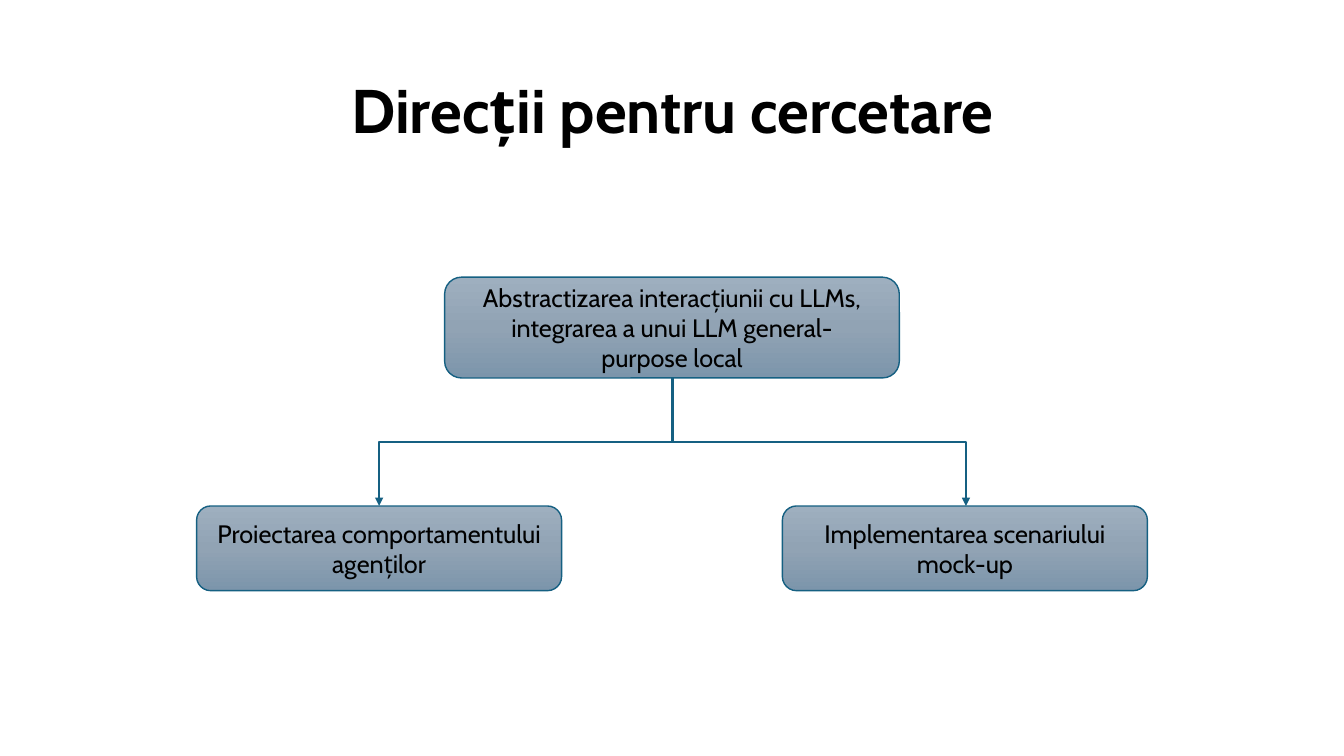
from copy import deepcopy

from lxml.etree import SubElement
from pptx import Presentation
from pptx.dml.color import RGBColor
from pptx.enum.shapes import MSO_CONNECTOR, MSO_SHAPE
from pptx.enum.text import MSO_ANCHOR, PP_ALIGN
from pptx.oxml.ns import qn
from pptx.util import Inches, Pt

BLACK = RGBColor(0x00, 0x00, 0x00)
TEAL = RGBColor(0x15, 0x60, 0x82)
GRADIENT = [
    (0, RGBColor(0x9E, 0xAF, 0xBF)),
    (0.5, RGBColor(0x91, 0xA3, 0xB4)),
    (1, RGBColor(0x7C, 0x95, 0xAB)),
]


def write_text(shape, text, size, bold):
    frame = shape.text_frame
    frame.word_wrap = True
    frame.vertical_anchor = MSO_ANCHOR.MIDDLE
    para = frame.paragraphs[0]
    para.alignment = PP_ALIGN.CENTER
    span = para.add_run()
    span.text = text
    span.font.color.rgb = BLACK
    font_format = {"name": "Cabin", "size": Pt(size), "bold": bold}
    for name, value in font_format.items():
        setattr(span.font, name, value)
    return para


deck = Presentation()
deck.slide_width, deck.slide_height = Inches(13.33), Inches(7.5)
page = deck.slides.add_slide(deck.slide_layouts[5])

# Title
title = page.shapes.title
title_place = {"left": 0.92, "top": 0.4, "width": 11.5, "height": 1.45}
for name, value in title_place.items():
    setattr(title, name, Inches(value))
write_text(title, "Direcții pentru cercetare", 44, True).line_spacing = 0.9

# Boxes: left, top, width, height, side margin, text
box_rows = [
    (4.41, 2.75, 4.51, 1, 0.31,
     "Abstractizarea interacțiunii cu LLMs, integrarea a unui LLM general-purpose local"),
    (1.95, 5.02, 3.62, 0.84, 0.1, "Proiectarea comportamentului agenților"),
    (7.76, 5.02, 3.62, 0.84, 0.3, "Implementarea scenariului mock-up"),
]
boxes = []
for left, top, width, height, margin, text in box_rows:
    box = page.shapes.add_shape(
        MSO_SHAPE.ROUNDED_RECTANGLE,
        Inches(left), Inches(top), Inches(width), Inches(height))
    box.shadow.inherit = False
    box.line.color.rgb = TEAL
    box.line.width = Pt(1)

    # Three-stop gradient running downwards
    box.fill.gradient()
    box.fill.gradient_angle = 270
    stop_list = box._element.spPr.find(".//" + qn("a:gsLst"))
    stop_list.insert(1, deepcopy(stop_list[0]))
    for stop, (position, color) in zip(box.fill.gradient_stops, GRADIENT):
        stop.position = position
        stop.color.rgb = color

    box.text_frame.margin_left = box.text_frame.margin_right = Inches(margin)
    box.text_frame.margin_top = box.text_frame.margin_bottom = Inches(0.05)
    write_text(box, text, 18, False)
    boxes.append(box)

# Elbow arrows from the upper box to each lower box
parent, *children = boxes
turns = [{"rot": "5400000"}, {"rot": "16200000", "flipH": "1"}]
for child, left, turn in zip(children, (4.58, 7.49), turns):
    arrow = page.shapes.add_connector(MSO_CONNECTOR.ELBOW, 0, 0, 0, 0)
    arrow.begin_connect(parent, 2)
    arrow.end_connect(child, 0)

    # The elbow is turned a quarter so that it leaves downwards
    frame = arrow._element.spPr.find(qn("a:xfrm"))
    frame.attrib.clear()
    frame.attrib.update(turn)
    arrow_place = {"left": left, "top": 2.93, "width": 1.27, "height": 2.91}
    for name, value in arrow_place.items():
        setattr(arrow, name, Inches(value))

    arrow.line.color.rgb = TEAL
    arrow.line.width = Pt(1.5)
    line = arrow._element.spPr.find(qn("a:ln"))
    SubElement(line, qn("a:tailEnd"), type="triangle")
    SubElement(arrow._element.spPr, qn("a:effectLst"))

deck.save("out.pptx")
